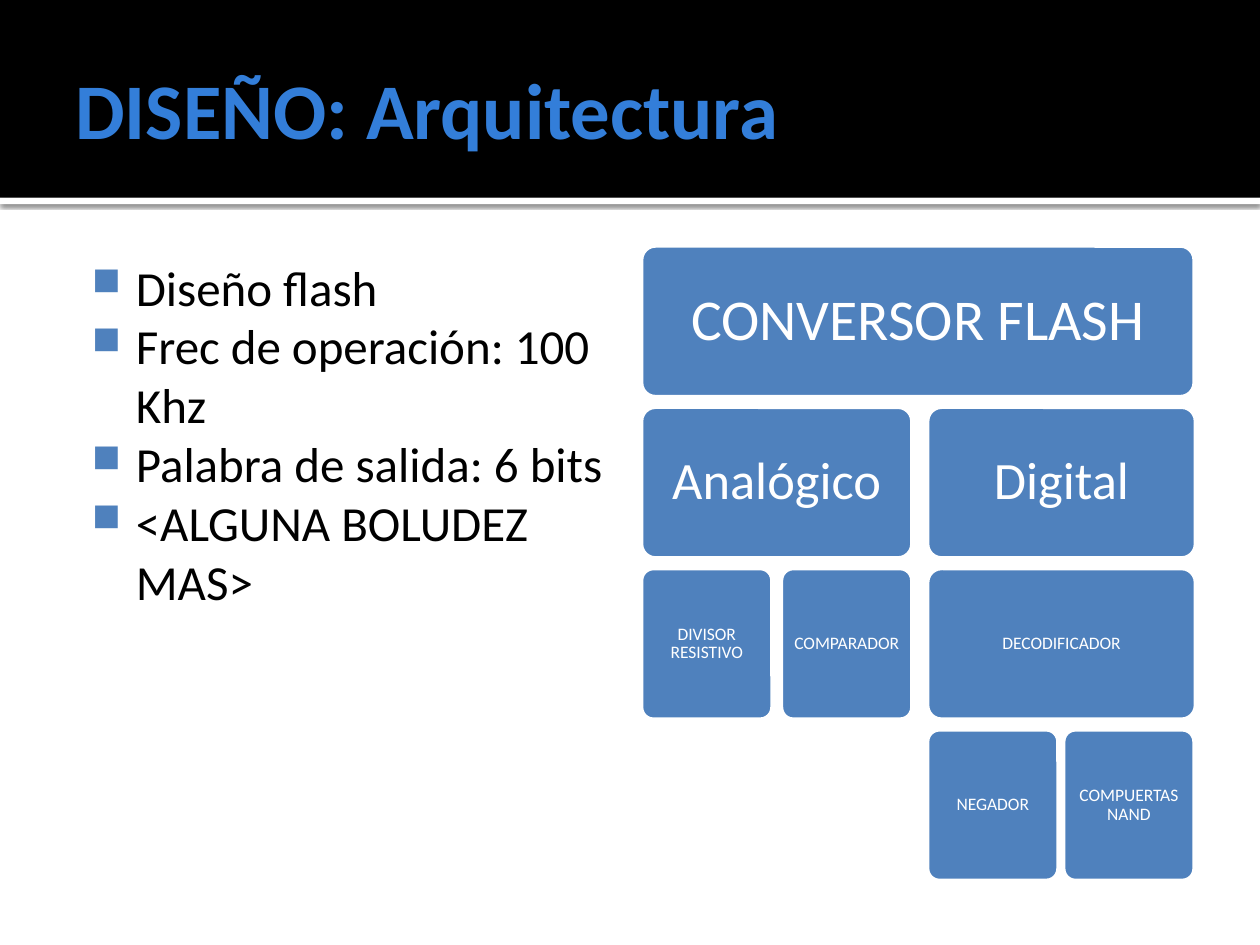
"""Build the architecture slide of a flash converter design."""
from dataclasses import dataclass

from lxml.etree import SubElement
from pptx import Presentation
from pptx.dml.color import RGBColor
from pptx.enum.shapes import MSO_SHAPE
from pptx.enum.text import MSO_ANCHOR, PP_ALIGN
from pptx.oxml.ns import qn
from pptx.util import Inches, Pt


@dataclass(frozen=True)
class Theme:
    font: str = "Calibri"
    white: str = "FFFFFF"
    black: str = "000000"
    accent: str = "4F81BD"
    title: str = "337ED9"
    title_size: int = 45
    body_size: int = 28
    root_size: int = 33
    branch_size: int = 30
    leaf_size: int = 10
    box_line: float = 3.78


THEME = Theme()
BULLETS = (
    "Diseño flash",
    "Frec de operación: 100 Khz",
    "Palabra de salida: 6 bits",
    "<ALGUNA BOLUDEZ MAS>",
)
TREE_TOP, ROW_STEP, BOX_HEIGHT = 1.94, 1.28, 1.22
# Each box: row, left, width, inset, size, label
BOXES = (
    (0, 5.08, 4.41, 0.14, THEME.root_size, "CONVERSOR FLASH"),
    (1, 5.08, 2.17, 0.12, THEME.branch_size, "Analógico"),
    (1, 7.35, 2.15, 0.12, THEME.branch_size, "Digital"),
    (2, 5.08, 1.06, 0.04, THEME.leaf_size, "DIVISOR RESISTIVO"),
    (2, 6.19, 1.06, 0.04, THEME.leaf_size, "COMPARADOR"),
    (2, 7.35, 2.15, 0.04, THEME.leaf_size, "DECODIFICADOR"),
    (3, 7.35, 1.06, 0.04, THEME.leaf_size, "NEGADOR"),
    (3, 8.43, 1.06, 0.04, THEME.leaf_size, "COMPUERTAS NAND"),
)


def add_run(p, text, size, color, bold=False):
    r = p.add_run()
    r.text = text
    r.font.name = THEME.font
    r.font.size = Pt(size)
    r.font.bold = bold
    r.font.color.rgb = RGBColor.from_string(color)


def set_frame(tf, insets, anchor):
    tf.word_wrap = True
    tf.vertical_anchor = anchor
    tf.margin_left, tf.margin_top, tf.margin_right, tf.margin_bottom = map(Inches, insets)


def add_filled(s, kind, at, color):
    sp = s.shapes.add_shape(kind, *map(Inches, at))
    sp.shadow.inherit = False
    sp.fill.solid()
    sp.fill.fore_color.rgb = RGBColor.from_string(color)
    sp.line.fill.background()
    return sp


def add_shadow(sp):
    effects = sp.element.spPr.find(qn("a:effectLst"))
    shadow = SubElement(effects, qn("a:outerShdw"), blurRad=str(Pt(2.5)),
                        dist=str(Pt(0.8)), dir="5400000", rotWithShape="0")
    color = SubElement(shadow, qn("a:srgbClr"), val=THEME.black)
    SubElement(color, qn("a:alpha"), val="60000")


def add_header(s):
    add_shadow(add_filled(s, MSO_SHAPE.RECTANGLE, (0, 1.57, 10, 0.05), THEME.white))
    add_filled(s, MSO_SHAPE.RECTANGLE, (0, 0, 10, 1.57), THEME.black)
    tf = s.shapes.add_textbox(*map(Inches, (0.5, 0.17, 9, 1.37))).text_frame
    set_frame(tf, (0.1, 0.05, 0.05, 0.05), MSO_ANCHOR.MIDDLE)
    add_run(tf.paragraphs[0], "DISEÑO: Arquitectura", THEME.title_size, THEME.title, True)


def set_bullet(p):
    pPr = p._p.get_or_add_pPr()
    pPr.set("marL", str(Inches(0.48)))
    pPr.set("indent", str(Inches(-0.35)))
    color = SubElement(pPr, qn("a:buClr"))
    SubElement(color, qn("a:srgbClr"), val=THEME.accent)
    SubElement(pPr, qn("a:buSzPct"), val="80000")
    SubElement(pPr, qn("a:buChar"), char="■")


def add_bullets(s, items):
    tf = s.shapes.add_textbox(*map(Inches, (0.5, 1.94, 4.42, 5.06))).text_frame
    set_frame(tf, (0.1, 0.1, 0.1, 0.05), MSO_ANCHOR.TOP)
    for i, text in enumerate(items):
        p = tf.add_paragraph() if i else tf.paragraphs[0]
        set_bullet(p)
        add_run(p, text, THEME.body_size, THEME.black)


def add_box(s, row, left, width, inset, size, label):
    at = (left, TREE_TOP + row * ROW_STEP, width, BOX_HEIGHT)
    sp = add_filled(s, MSO_SHAPE.ROUNDED_RECTANGLE, at, THEME.accent)
    sp.adjustments[0] = 0.1
    sp.line.color.rgb = RGBColor.from_string(THEME.white)
    sp.line.width = Pt(THEME.box_line)
    set_frame(sp.text_frame, (inset,) * 4, MSO_ANCHOR.MIDDLE)
    p = sp.text_frame.paragraphs[0]
    p.alignment = PP_ALIGN.CENTER
    p.line_spacing = 0.9
    add_run(p, label, size, THEME.white)


def main():
    prs = Presentation()
    prs.slide_width, prs.slide_height = Inches(10), Inches(7.5)
    s = prs.slides.add_slide(prs.slide_layouts[6])
    add_header(s)
    add_bullets(s, BULLETS)
    for box in BOXES:
        add_box(s, *box)
    prs.save("out.pptx")


if __name__ == "__main__":
    main()
